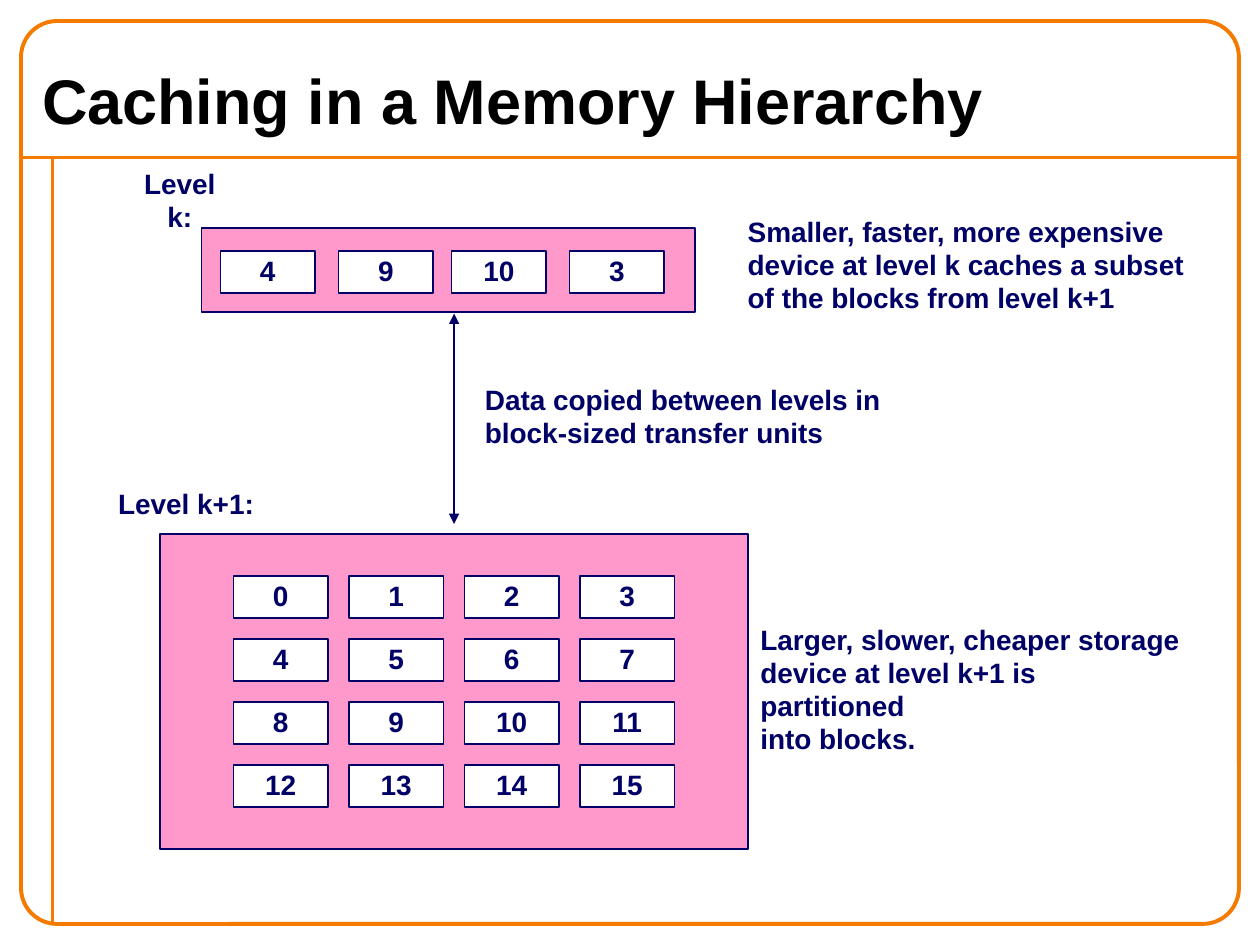
from lxml import etree
from pptx import Presentation
from pptx.dml.color import RGBColor
from pptx.enum.shapes import MSO_CONNECTOR, MSO_SHAPE
from pptx.enum.text import MSO_ANCHOR, MSO_AUTO_SIZE, PP_ALIGN
from pptx.oxml.ns import qn
from pptx.util import Pt

RECTANGLE = MSO_SHAPE.RECTANGLE
ROUNDED_RECTANGLE = MSO_SHAPE.ROUNDED_RECTANGLE
STRAIGHT = MSO_CONNECTOR.STRAIGHT
MIDDLE = MSO_ANCHOR.MIDDLE
FIXED_SIZE = MSO_AUTO_SIZE.NONE
FIT_SHAPE = MSO_AUTO_SIZE.SHAPE_TO_FIT_TEXT
LEFT, CENTER = PP_ALIGN.LEFT, PP_ALIGN.CENTER

FONT = "Arial"
ORANGE, NAVY, PINK, WHITE, BLACK = "F47A00", "000066", "FF99CC", "FFFFFF", "000000"
BLOCK_WIDTH, BLOCK_HEIGHT = 54, 24
CACHE_BLOCKS = [(126, 4), (193.5, 9), (258, 10), (325.5, 3)]


def color(hex_string):
    return RGBColor.from_string(hex_string)


def write_text(shape, text, size=16, fill=NAVY, align=LEFT, wrap=False,
               auto_size=FIXED_SIZE, line_spacing=0.98, margins=(7.2, 3.6)):
    """Fill a shape with bold text; each line break starts a paragraph."""
    frame = shape.text_frame
    frame.text = text
    frame.word_wrap = wrap
    frame.auto_size = auto_size
    frame.vertical_anchor = MIDDLE
    frame.margin_left = frame.margin_right = Pt(margins[0])
    frame.margin_top = frame.margin_bottom = Pt(margins[1])
    for paragraph in frame.paragraphs:
        paragraph.alignment = align
        paragraph.line_spacing = line_spacing
        font = paragraph.font
        font.name, font.size, font.bold = FONT, Pt(size), True
        font.color.rgb = color(fill)


def add_box(slide, left, top, width, height, fill=None, line=NAVY, weight=1,
            kind=RECTANGLE):
    shape = slide.shapes.add_shape(kind, Pt(left), Pt(top), Pt(width), Pt(height))
    shape.shadow.inherit = False
    if fill:
        shape.fill.solid()
        shape.fill.fore_color.rgb = color(fill)
    else:
        shape.fill.background()
    shape.line.color.rgb = color(line)
    shape.line.width = Pt(weight)
    return shape


def add_line(slide, start, end, line, weight, arrows=False):
    connector = slide.shapes.add_connector(
        STRAIGHT, Pt(start[0]), Pt(start[1]), Pt(end[0]), Pt(end[1]))
    connector.line.color.rgb = color(line)
    connector.line.width = Pt(weight)
    if arrows:
        outline = connector.line._get_or_add_ln()
        for tag in ("a:headEnd", "a:tailEnd"):
            etree.SubElement(outline, qn(tag), type="triangle")
    etree.SubElement(connector._element.spPr, qn("a:effectLst"))


def add_label(slide, left, top, width, height, text, **text_format):
    box = slide.shapes.add_textbox(Pt(left), Pt(top), Pt(width), Pt(height))
    write_text(box, text, auto_size=FIT_SHAPE, **text_format)


def add_block(slide, left, top, number):
    block = add_box(slide, left, top, BLOCK_WIDTH, BLOCK_HEIGHT, fill=WHITE)
    write_text(block, str(number), align=CENTER)


def add_frame(slide):
    add_line(slide, (12, 90), (708, 90), ORANGE, 2.25)
    add_line(slide, (30, 90), (30, 528), ORANGE, 2.25)
    frame = add_box(slide, 12, 12, 696, 516, line=ORANGE, weight=2.25,
                    kind=ROUNDED_RECTANGLE)
    frame.adjustments[0] = 0.04


def add_title(slide, text):
    title = slide.shapes.title
    title.left, title.top, title.width, title.height = Pt(24), Pt(30), Pt(672), Pt(54)
    write_text(title, text, size=36, fill=BLACK, wrap=True, line_spacing=1.0,
               margins=(0, 0))


def add_cache(slide):
    add_box(slide, 115.2, 130.3, 282, 48, fill=PINK)
    for left, number in CACHE_BLOCKS:
        add_block(slide, left, 143.3, number)


def add_storage(slide):
    add_box(slide, 91.5, 305.2, 336, 180, fill=PINK)
    for number in range(16):
        row, column = divmod(number, 4)
        add_block(slide, 133.4 + 66 * column, 329.2 + 36 * row, number)


def main():
    presentation = Presentation()
    presentation.slide_width, presentation.slide_height = Pt(720), Pt(540)
    slide = presentation.slides.add_slide(presentation.slide_layouts[5])

    add_frame(slide)
    add_title(slide, "Caching in a Memory Hierarchy")
    add_storage(slide)
    add_line(slide, (259.5, 179.2), (259.5, 299.4), NAVY, 1, arrows=True)
    add_cache(slide)

    add_label(slide, 66, 101.7, 73.5, 26, "Level k:", align=CENTER)
    add_label(slide, 60.2, 275.6, 92.2, 26, "Level k+1:", align=CENTER)
    add_label(slide, 420.2, 120, 263.5, 64,
              "Smaller, faster, more expensive\n"
              "device at level k caches a subset\n"
              "of the blocks from level k+1")
    add_label(slide, 270, 216, 243.4, 45,
              "Data copied between levels in block-sized transfer units",
              wrap=True)
    add_label(slide, 427.4, 362.4, 258.5, 64,
              "Larger, slower, cheaper storage\n"
              "device at level k+1 is partitioned\n"
              "into blocks.")

    presentation.save("out.pptx")


if __name__ == "__main__":
    main()
